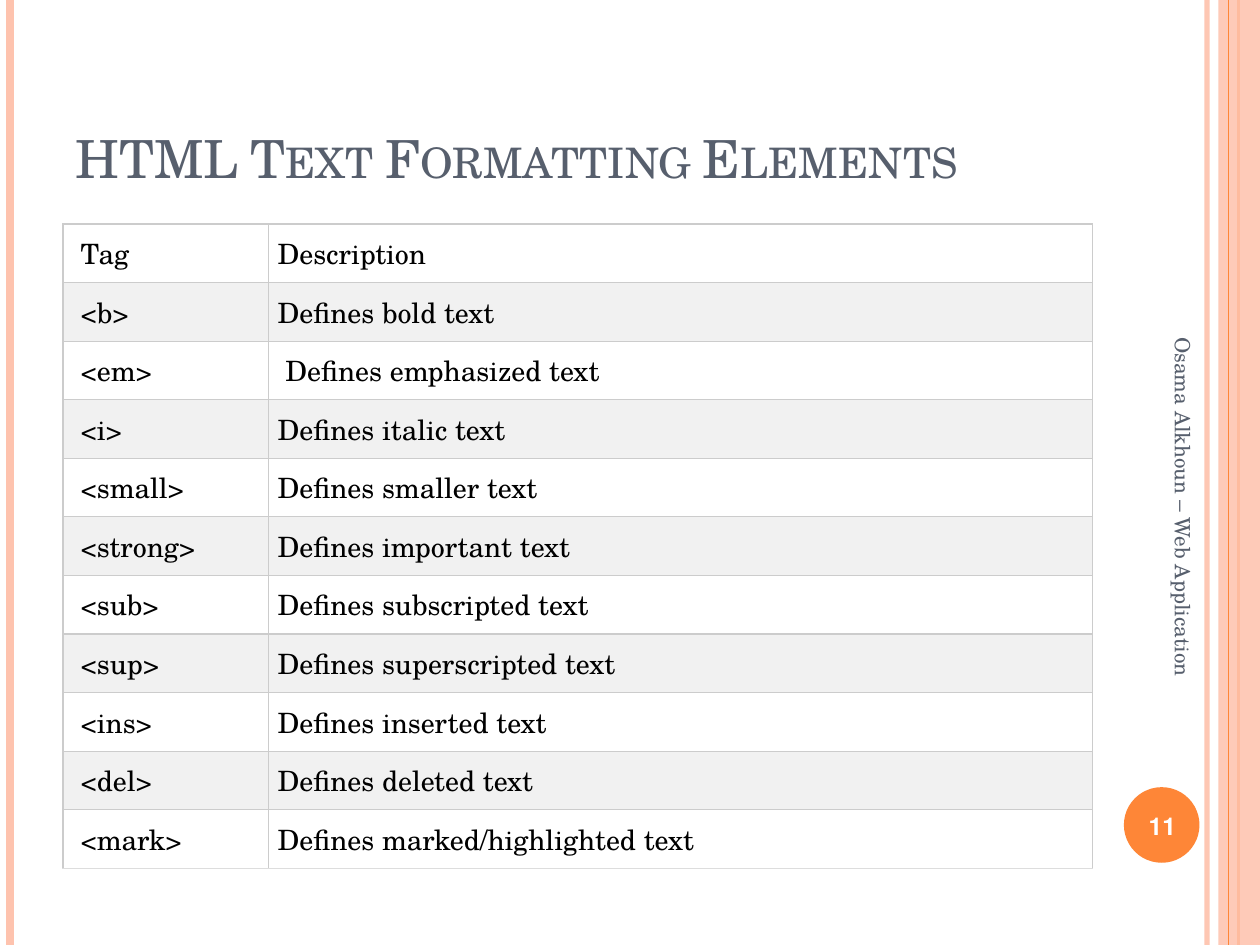
from dataclasses import dataclass

from lxml import etree
from pptx import Presentation
from pptx import util as u
from pptx.dml import color
from pptx.enum import shapes, text
from pptx.oxml import ns

WIDTH, HEIGHT = 10, 7.5
LEFT, SPAN = 0.05, 0.817


@dataclass(frozen=True)
class Theme:
    """Colours, type sizes and font of the slide."""
    font: str = "TeX Gyre Schola"
    slate: str = "575F6D"
    orange: str = "FE8637"
    peach: str = "FEC3AE"
    white: str = "FFFFFF"
    black: str = "000000"
    band: str = "F1F1F1"
    border: str = "CCCCCC"
    last_border: str = "DDDDDD"
    title: int = 30
    table: int = 16
    number: int = 14
    footer: int = 12


THEME = Theme()
TAGS = [
    ("Tag", "Description"),
    ("<b>", "Defines bold text"),
    ("<em>", "Defines emphasized text\u00a0"),
    ("<i>", "Defines italic text"),
    ("<small>", "Defines smaller text"),
    ("<strong>", "Defines important text"),
    ("<sub>", "Defines subscripted text"),
    ("<sup>", "Defines superscripted text"),
    ("<ins>", "Defines inserted text"),
    ("<del>", "Defines deleted text"),
    ("<mark>", "Defines marked/highlighted text"),
]


def rgb(value):
    """Return a colour object for a hex value."""
    return color.RGBColor.from_string(value)


def apply(target, values):
    """Set attributes from a dict of format values."""
    for name, value in values.items():
        setattr(target, name, value)


def area(left, top, width, height):
    """Turn shares of the slide's size into lengths."""
    return [u.Inches(share * side) for share, side in
            zip((left, top, width, height), (WIDTH, HEIGHT) * 2)]


def set_alpha(element, percent):
    """Make the solid colour inside an element translucent."""
    tint = element.find(".//" + ns.qn("a:srgbClr"))
    etree.SubElement(tint, ns.qn("a:alpha"), val=str(percent * 1000))


def write(frame, words, size, tint, align=text.PP_ALIGN.LEFT, **font):
    """Write one right-to-left paragraph with a fixed alignment."""
    para = frame.paragraphs[0]
    para.alignment = align
    para._p.get_or_add_pPr().set("rtl", "1")
    span = para.add_run()
    span.text = words
    apply(span.font, {"name": THEME.font, "size": u.Pt(size), **font})
    span.font.color.rgb = rgb(tint)
    return span


def add_rule(slide, share, tint, weight, alpha=None):
    """Draw a full-height vertical rule."""
    x = u.Inches(WIDTH * share)
    rule = slide.shapes.add_connector(
        shapes.MSO_CONNECTOR.STRAIGHT, x, 0, x, u.Inches(HEIGHT))
    rule.line.color.rgb = rgb(tint)
    rule.line.width = u.Pt(weight)
    properties = rule._element.spPr
    if alpha:
        set_alpha(properties, alpha)
    etree.SubElement(properties, ns.qn("a:effectLst"))


def add_block(slide, kind, place, tint, alpha=None):
    """Draw a plain filled shape."""
    block = slide.shapes.add_shape(kind, *area(*place))
    block.shadow.inherit = False
    block.fill.solid()
    block.fill.fore_color.rgb = rgb(tint)
    block.line.fill.background()
    if alpha:
        set_alpha(block._element.spPr, alpha)


def add_label(slide, place, words, size, tint, rotation=0, **options):
    """Add a vertically centred text box."""
    box = slide.shapes.add_textbox(*area(*place))
    box.rotation = rotation
    apply(box.text_frame, {"word_wrap": True,
                           "vertical_anchor": text.MSO_ANCHOR.MIDDLE})
    write(box.text_frame, words, size, tint, **options)


def add_title(slide, words):
    """Place and fill the title placeholder."""
    title = slide.shapes.title
    apply(title, dict(zip(("left", "top", "width", "height"),
                          area(LEFT, 0.04, SPAN, 0.167))))
    apply(title.text_frame, {"word_wrap": True,
                             "auto_size": text.MSO_AUTO_SIZE.NONE,
                             "vertical_anchor": text.MSO_ANCHOR.BOTTOM})
    span = write(title.text_frame, words, THEME.title, THEME.slate)
    span._r.get_or_add_rPr().set("cap", "small")


def set_borders(cell, bottom):
    """Draw thin lines on the four sides of a cell."""
    properties = cell._tc.get_or_add_tcPr()
    for side in "LRTB":
        line = etree.SubElement(properties, ns.qn("a:ln" + side),
                                w=str(u.Pt(0.75)))
        fill = etree.SubElement(line, ns.qn("a:solidFill"))
        etree.SubElement(fill, ns.qn("a:srgbClr"),
                         val=bottom if side == "B" else THEME.border)


def add_tag_table(slide, rows):
    """Add the banded table of tags and descriptions."""
    place = area(LEFT, 0.237, SPAN, 0.652)
    table = slide.shapes.add_table(len(rows), 2, *place).table
    apply(table, {"first_row": False, "horz_banding": False})
    for column, share in zip(table.columns, (0.2, 0.8)):
        column.width = int(place[2] * share)
    for index, row in enumerate(rows):
        bottom = THEME.last_border if index == len(rows) - 1 else THEME.border
        for column, words in enumerate(row):
            cell = table.cell(index, column)
            inset = u.Inches(0.07)
            apply(cell, {"margin_left": inset * (2 - column),
                         "margin_right": inset,
                         "margin_top": inset, "margin_bottom": inset})
            set_borders(cell, bottom)
            cell.fill.solid()
            cell.fill.fore_color.rgb = rgb(
                THEME.band if index % 2 else THEME.white)
            write(cell.text_frame, words, THEME.table, THEME.black)


def add_frame(slide):
    """Draw the side rules, the right band and the number disc."""
    add_block(slide, shapes.MSO_SHAPE.OVAL,
              (0.892, 0.833, 0.06, 0.08), THEME.orange)
    add_rule(slide, 0.958, THEME.peach, 3, alpha=93)
    add_rule(slide, 0.008, THEME.peach, 4.5)
    add_rule(slide, 0.983, THEME.orange, 1.5)
    add_block(slide, shapes.MSO_SHAPE.RECTANGLE,
              (0.967, 0, 0.033, 1), THEME.peach, alpha=87)
    add_rule(slide, 0.975, THEME.orange, 0.75)


def main():
    """Build and save the slide."""
    deck = Presentation()
    apply(deck, {"slide_width": u.Inches(WIDTH),
                 "slide_height": u.Inches(HEIGHT)})
    page = deck.slides.add_slide(deck.slide_layouts[5])
    add_frame(page)
    add_title(page, "HTML Text Formatting Elements")
    add_tag_table(page, TAGS)
    add_label(page, (0.889, 0.836, 0.067, 0.076), "11", THEME.number,
              THEME.white, align=text.PP_ALIGN.CENTER, bold=True)
    add_label(page, (0.764, 0.545, 0.35, 0.053),
              "Osama Alkhoun \u2013 Web Application ", THEME.footer,
              THEME.slate, rotation=90)
    deck.save("out.pptx")


main()
